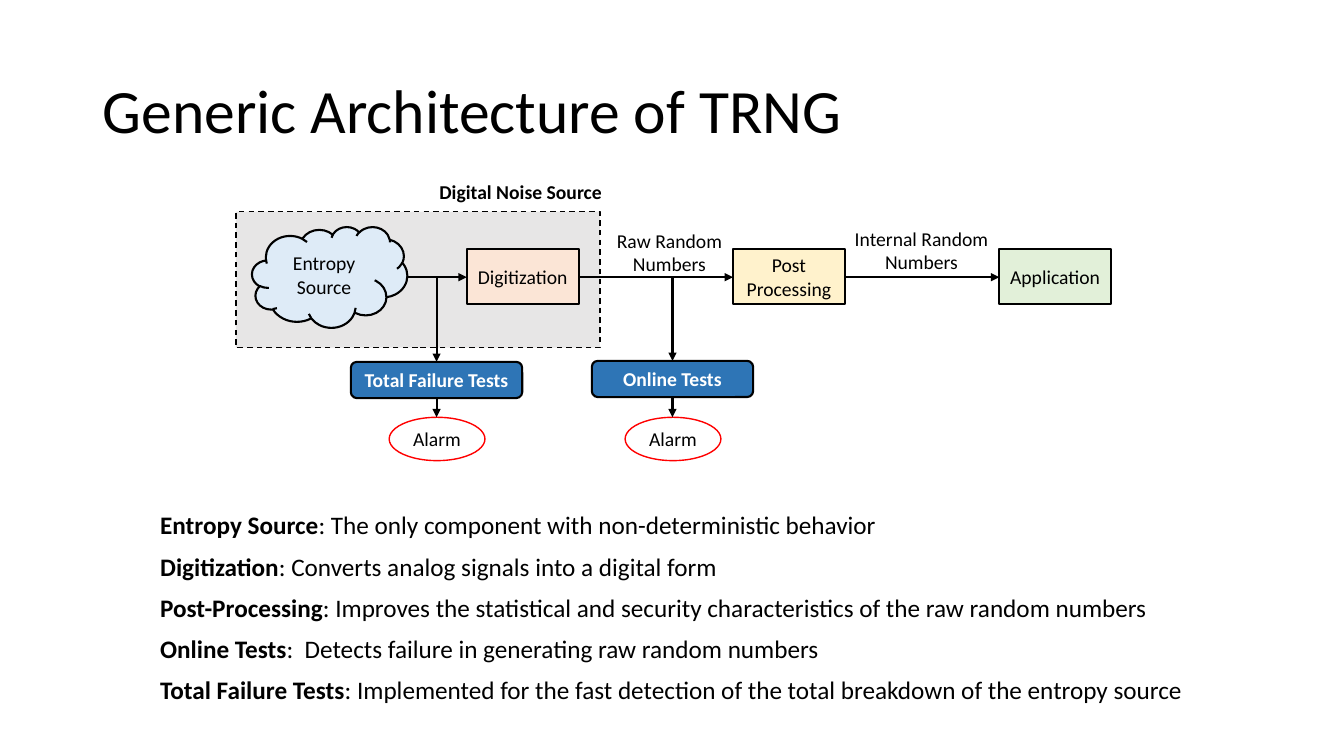
"""Build a slide on the generic architecture of a true random number generator."""
from lxml import etree
from pptx import Presentation
from pptx.dml.color import RGBColor
from pptx.enum.dml import MSO_LINE
from pptx.enum.shapes import MSO_CONNECTOR, MSO_SHAPE
from pptx.enum.text import MSO_ANCHOR, PP_ALIGN
from pptx.oxml.ns import qn
from pptx.util import Pt

RECT, ROUND = MSO_SHAPE.RECTANGLE, MSO_SHAPE.ROUNDED_RECTANGLE
CLOUD, OVAL = MSO_SHAPE.CLOUD, MSO_SHAPE.OVAL
STRAIGHT, DASH = MSO_CONNECTOR.STRAIGHT, MSO_LINE.DASH
LEFT, CENTER = PP_ALIGN.LEFT, PP_ALIGN.CENTER
TOP, MIDDLE = MSO_ANCHOR.TOP, MSO_ANCHOR.MIDDLE

PX = 9144
FONT = "Calibri"
COLORS = {
    "black": "000000", "white": "FFFFFF", "gray": "E7E6E6", "sky": "DEEBF7",
    "peach": "FBE5D6", "yellow": "FFF2CC", "green": "E2F0D9", "blue": "2E75B6",
    "red": "FF0000",
}

TITLE = ("Generic Architecture of TRNG", (92, 40, 1150, 145))
NOISE_SOURCE = (234, 210, 361, 135)
CLOUD_BOX = (250, 225, 154, 100)
STAGES = [("Digitization", "peach"), ("Post\nProcessing", "yellow"), ("Application", "green")]
STAGE_X, STAGE_Y, STAGE_W, STAGE_H, STAGE_STEP = 463, 247, 111, 55, 264
TESTS = [("Total Failure Tests", 433, 359, 170), ("Online Tests", 667, 358, 160)]
TEST_H = 36
ALARM_Y, ALARM_W, ALARM_H = 414, 95, 43
LABELS = [
    ("Digital Noise Source", (425, 174, 183, 34), True),
    ("Raw Random\nNumbers", (600, 222, 128, 57), False),
    ("Internal Random\nNumbers", (837, 220, 154, 57), False),
]
BODY_BOX = (149, 504, 1036, 209)
DEFINITIONS = [
    ("Entropy Source", ": The only component with non-deterministic behavior"),
    ("Digitization", ": Converts analog signals into a digital form"),
    ("Post-Processing",
     ": Improves the statistical and security characteristics of the raw random numbers"),
    ("Online Tests", ":  Detects failure in generating raw random numbers"),
    ("Total Failure Tests",
     ": Implemented for the fast detection of the total breakdown of the entropy source"),
]


def emu(values):
    return [v * PX for v in values]


def rgb(name):
    return RGBColor.from_string(COLORS[name])


def style(p, size, color="black", bold=None, align=LEFT):
    p.alignment = align
    p.font.name, p.font.size, p.font.bold = FONT, Pt(size), bold
    p.font.color.rgb = rgb(color)


def write(sp, text, color="black", bold=False):
    tf = sp.text_frame
    tf.word_wrap = True
    tf.margin_left = tf.margin_right = 0
    tf.text = text
    for p in tf.paragraphs:
        style(p, 14, color, bold, CENTER)


def add_box(s, kind, box, fill, text="", color="black", bold=False, line="black", width=1.5):
    sp = s.shapes.add_shape(kind, *emu(box))
    sp.shadow.inherit = False
    sp.fill.solid()
    sp.fill.fore_color.rgb = rgb(fill)
    sp.line.color.rgb = rgb(line)
    sp.line.width = Pt(width)
    if text:
        sp.text_frame.vertical_anchor = MIDDLE
        write(sp, text, color, bold)
    return sp


def add_arrow(s, *ends):
    cx = s.shapes.add_connector(STRAIGHT, *emu(ends))
    cx.line.color.rgb = rgb("black")
    cx.line.width = Pt(1.5)
    etree.SubElement(cx.line._get_or_add_ln(), qn("a:tailEnd"), type="triangle")
    etree.SubElement(cx._element.spPr, qn("a:effectLst"))


def add_text_box(s, box, anchor=TOP):
    sp = s.shapes.add_textbox(*emu(box))
    sp.text_frame.word_wrap = True
    sp.text_frame.vertical_anchor = anchor
    return sp


def add_diagram(s):
    add_box(s, RECT, NOISE_SOURCE, "gray", width=1).line.dash_style = DASH
    add_box(s, CLOUD, CLOUD_BOX, "sky", "Entropy\nSource")
    flow_y = STAGE_Y + STAGE_H // 2 + 1
    start = CLOUD_BOX[0] + CLOUD_BOX[2]
    for i, (name, fill) in enumerate(STAGES):
        x = STAGE_X + i * STAGE_STEP
        add_box(s, RECT, (x, STAGE_Y, STAGE_W, STAGE_H), fill, name)
        add_arrow(s, start, flow_y, x, flow_y)
        start = x + STAGE_W
    for name, cx, y, w in TESTS:
        add_box(s, ROUND, (cx - w // 2, y, w, TEST_H), "blue", name, "white", True)
        alarm = (cx - ALARM_W // 2, ALARM_Y, ALARM_W, ALARM_H)
        add_box(s, OVAL, alarm, "white", "Alarm", line="red", width=1)
        add_arrow(s, cx, flow_y, cx, y)
        add_arrow(s, cx, y + TEST_H, cx, ALARM_Y)
    for text, box, bold in LABELS:
        write(add_text_box(s, box), text, bold=bold)


def add_definitions(s):
    tf = add_text_box(s, BODY_BOX).text_frame
    for i, (term, meaning) in enumerate(DEFINITIONS):
        p = tf.add_paragraph() if i else tf.paragraphs[0]
        p.line_spacing = 0.9
        p.space_before = Pt(10 if i else 0)
        style(p, 18)
        for text, bold in ((term, True), (meaning, False)):
            r = p.add_run()
            r.text, r.font.bold = text, bold


def main():
    prs = Presentation()
    prs.slide_width, prs.slide_height = emu((1333, 750))
    s = prs.slides.add_slide(prs.slide_layouts[6])
    title, box = TITLE
    p = add_text_box(s, box, MIDDLE).text_frame.paragraphs[0]
    p.text = title
    p.line_spacing = 0.9
    style(p, 44)
    add_diagram(s)
    add_definitions(s)
    prs.save("out.pptx")


if __name__ == "__main__":
    main()
